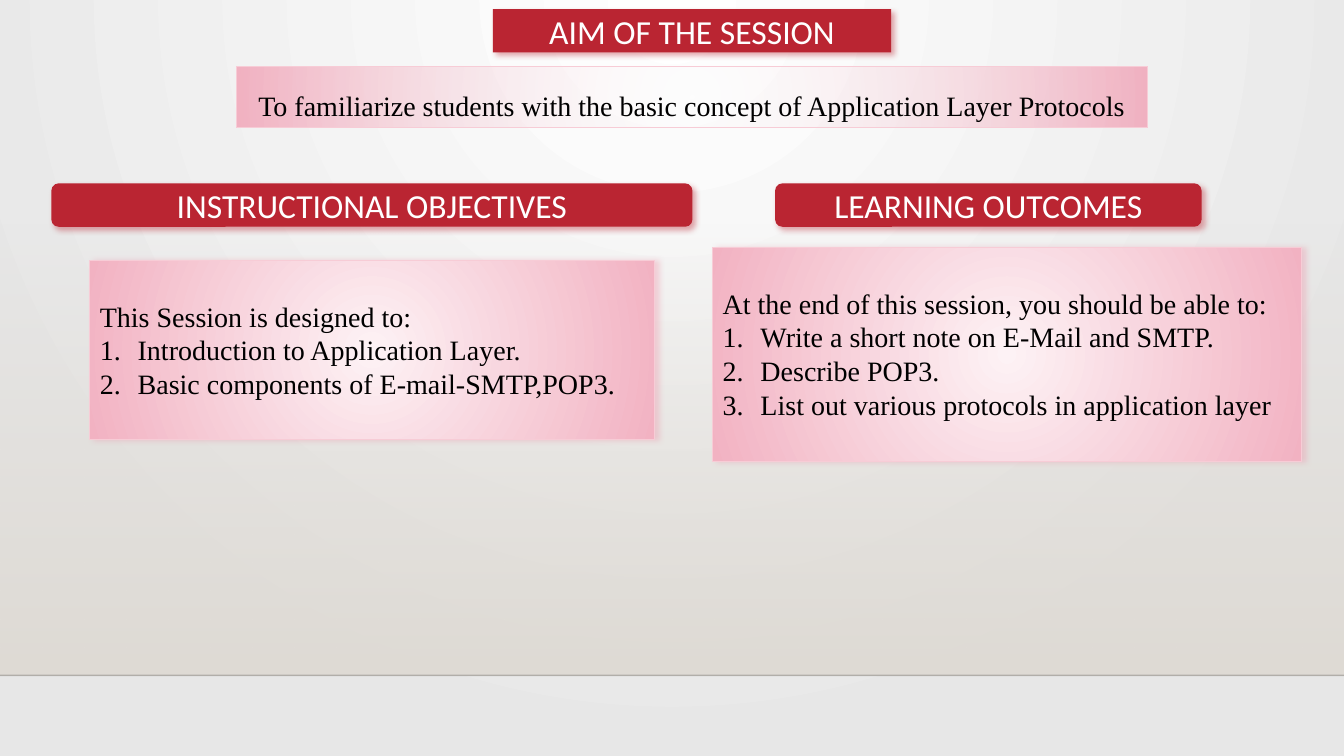
"""Build the session aim, objectives and outcomes slide."""
from dataclasses import dataclass

from lxml.etree import _Element as Element
from pptx import Presentation
from pptx.dml.color import RGBColor
from pptx.dml.fill import FillFormat
from pptx.enum.shapes import MSO_CONNECTOR as Connector, MSO_SHAPE as Preset
from pptx.enum.text import MSO_ANCHOR as Anchor, MSO_AUTO_SIZE as AutoSize, PP_ALIGN as Align
from pptx.oxml import parse_xml
from pptx.oxml.ns import nsdecls, qn
from pptx.shapes.base import BaseShape
from pptx.text.text import _Paragraph as Paragraph
from pptx.util import Pt

WIDTH, HEIGHT = 960, 540
FLOOR = 482.4
RED, PINK, PALE_PINK, PINK_EDGE = "BA2532", "F2B2C2", "FDF2F5", "F7CCD6"
CENTRE = (50, 50, 50, 50)
LIST_INDENT = 27


@dataclass(frozen=True)
class Box:
    left: float
    top: float
    width: float
    height: float


@dataclass(frozen=True)
class Heading:
    placeholder: int
    box: Box
    text: str


@dataclass(frozen=True)
class Card:
    placeholder: int
    box: Box
    intro: str
    items: tuple[str, ...]


HEADINGS = (
    Heading(0, Box(352.1, 6.5, 284.4, 31), "AIM OF THE SESSION"),
    Heading(1, Box(36.7, 131, 457.9, 31), "INSTRUCTIONAL OBJECTIVES"),
    Heading(3, Box(553.7, 131, 304.6, 31), "LEARNING OUTCOMES"),
)
CARDS = (
    Card(2, Box(64.1, 186, 403.2, 128.2), "This Session is designed to:",
         ("Introduction to Application Layer.", "Basic components of E-mail-SMTP,POP3.")),
    Card(4, Box(509, 176.9, 420.5, 152.6), "At the end of this session, you should be able to:",
         ("Write a short note on E-Mail and SMTP.", "Describe POP3.",
          "List out various protocols in application layer")),
)
AIM_BOX = Box(168.7, 47.5, 651.2, 43.6)
AIM = "To familiarize students with the basic concept of Application Layer Protocols"


def rgb(color: str) -> RGBColor:
    return RGBColor.from_string(color)


def paint_gradient(fill: FillFormat, properties: Element, start: str, end: str,
                   focus: tuple[int, ...] | None = None, start_alpha: int = 100) -> None:
    fill.background()
    if focus:
        sides = " ".join(f'{side}="{value * 1000}"' for side, value in zip("ltrb", focus))
        direction = f'<a:path path="circle"><a:fillToRect {sides}/></a:path>'
    else:
        direction = '<a:lin ang="5400000" scaled="0"/>'
    gradient = parse_xml(
        f'<a:gradFill {nsdecls("a")} rotWithShape="1"><a:gsLst>'
        f'<a:gs pos="0"><a:srgbClr val="{start}"><a:alpha val="{start_alpha * 1000}"/></a:srgbClr></a:gs>'
        f'<a:gs pos="100000"><a:srgbClr val="{end}"/></a:gs></a:gsLst>{direction}</a:gradFill>')
    properties.replace(properties.find(qn("a:noFill")), gradient)


def add_shadow(shape: BaseShape, color: str, angle: int) -> None:
    shape.element.spPr.append(parse_xml(
        f'<a:effectLst {nsdecls("a")}><a:outerShdw blurRad="{Pt(4)}" dist="{Pt(3)}" '
        f'dir="{angle * 60000}" algn="tl" rotWithShape="0"><a:srgbClr val="{color}">'
        '<a:alpha val="40000"/></a:srgbClr></a:outerShdw></a:effectLst>'))


def place(shape: BaseShape, box: Box) -> None:
    shape.left, shape.top = Pt(box.left), Pt(box.top)
    shape.width, shape.height = Pt(box.width), Pt(box.height)


def write(paragraph: Paragraph, text: str, size: float, font: str, color: str,
          align: Align, spacing: float = 1, numbered: bool = False) -> None:
    properties = paragraph._p.get_or_add_pPr()
    indent = Pt(LIST_INDENT) if numbered else 0
    properties.set("marL", str(indent))
    properties.set("indent", str(-indent))
    bullet = '<a:buAutoNum {} type="arabicPeriod"/>' if numbered else "<a:buNone {}/>"
    properties.append(parse_xml(bullet.format(nsdecls("a"))))
    paragraph.alignment = align
    paragraph.line_spacing = spacing
    paragraph.space_before = paragraph.space_after = Pt(0)
    run = paragraph.add_run()
    run.text = text
    run.font.size, run.font.name, run.font.bold = Pt(size), font, False
    run.font.color.rgb = rgb(color)


def prepare_text(shape: BaseShape, anchor: Anchor) -> None:
    frame = shape.text_frame
    frame.auto_size, frame.word_wrap = AutoSize.NONE, True
    frame.vertical_anchor = anchor


def draw_heading(shape: BaseShape, heading: Heading) -> None:
    place(shape, heading.box)
    shape.element.spPr.insert(1, parse_xml(
        f'<a:prstGeom {nsdecls("a")} prst="roundRect"><a:avLst/></a:prstGeom>'))
    shape.fill.solid()
    shape.fill.fore_color.rgb = rgb(RED)
    shape.line.fill.background()
    add_shadow(shape, RED, 45)
    prepare_text(shape, Anchor.MIDDLE)
    write(shape.text_frame.paragraphs[0], heading.text, 24, "Calibri", "FFFFFF", Align.CENTER)


def style_pink(shape: BaseShape, center_alpha: int = 100) -> None:
    paint_gradient(shape.fill, shape.element.spPr, PALE_PINK, PINK, CENTRE, center_alpha)
    shape.line.color.rgb = rgb(PINK_EDGE)
    shape.line.width = Pt(0.75)
    prepare_text(shape, Anchor.TOP)


def draw_card(shape: BaseShape, card: Card) -> None:
    place(shape, card.box)
    style_pink(shape)
    add_shadow(shape, "EE99AD", 0)
    frame = shape.text_frame
    write(frame.paragraphs[0], card.intro, 20, "Times New Roman", "000000", Align.LEFT, 2)
    for item in card.items:
        write(frame.add_paragraph(), item, 20, "Times New Roman", "000000", Align.LEFT, numbered=True)


def main() -> None:
    presentation = Presentation()
    presentation.slide_width, presentation.slide_height = Pt(WIDTH), Pt(HEIGHT)
    slide = presentation.slides.add_slide(presentation.slide_layouts.get_by_name("Comparison"))
    shapes = slide.shapes

    background = slide.background.fill
    background.solid()
    paint_gradient(background, slide.element.find(".//" + qn("p:bgPr")),
                   "FFFFFF", "E7E7E7", (43, 0, 43, 100))

    wall = shapes.add_shape(Preset.RECTANGLE, 0, Pt(159.1), Pt(WIDTH), Pt(FLOOR - 159.1))
    wall.shadow.inherit = False
    paint_gradient(wall.fill, wall.element.spPr, "DFDBD5", "DFDBD5", start_alpha=0)
    wall.line.fill.background()

    floor_line = shapes.add_connector(Connector.STRAIGHT, 0, Pt(FLOOR), Pt(WIDTH), Pt(FLOOR))
    floor_line.line.color.rgb = rgb("000001")
    floor_line.line.width = Pt(1)
    line_color = floor_line.element.spPr.find(".//" + qn("a:srgbClr"))
    line_color.append(parse_xml(f'<a:alpha {nsdecls("a")} val="20000"/>'))
    floor_line.element.spPr.append(parse_xml(f'<a:effectLst {nsdecls("a")}/>'))

    for position, backdrop in enumerate((wall, floor_line), start=2):
        shapes.element.insert(position, backdrop.element)

    for heading in HEADINGS:
        draw_heading(slide.placeholders[heading.placeholder], heading)
    for card in CARDS:
        draw_card(slide.placeholders[card.placeholder], card)

    aim = shapes.add_shape(Preset.RECTANGLE, 0, 0, 0, 0)
    place(aim, AIM_BOX)
    aim.shadow.inherit = False
    style_pink(aim, center_alpha=0)
    write(aim.text_frame.paragraphs[0], AIM, 20, "Times New Roman", "000000", Align.CENTER, 1.5)

    presentation.save("out.pptx")


if __name__ == "__main__":
    main()
